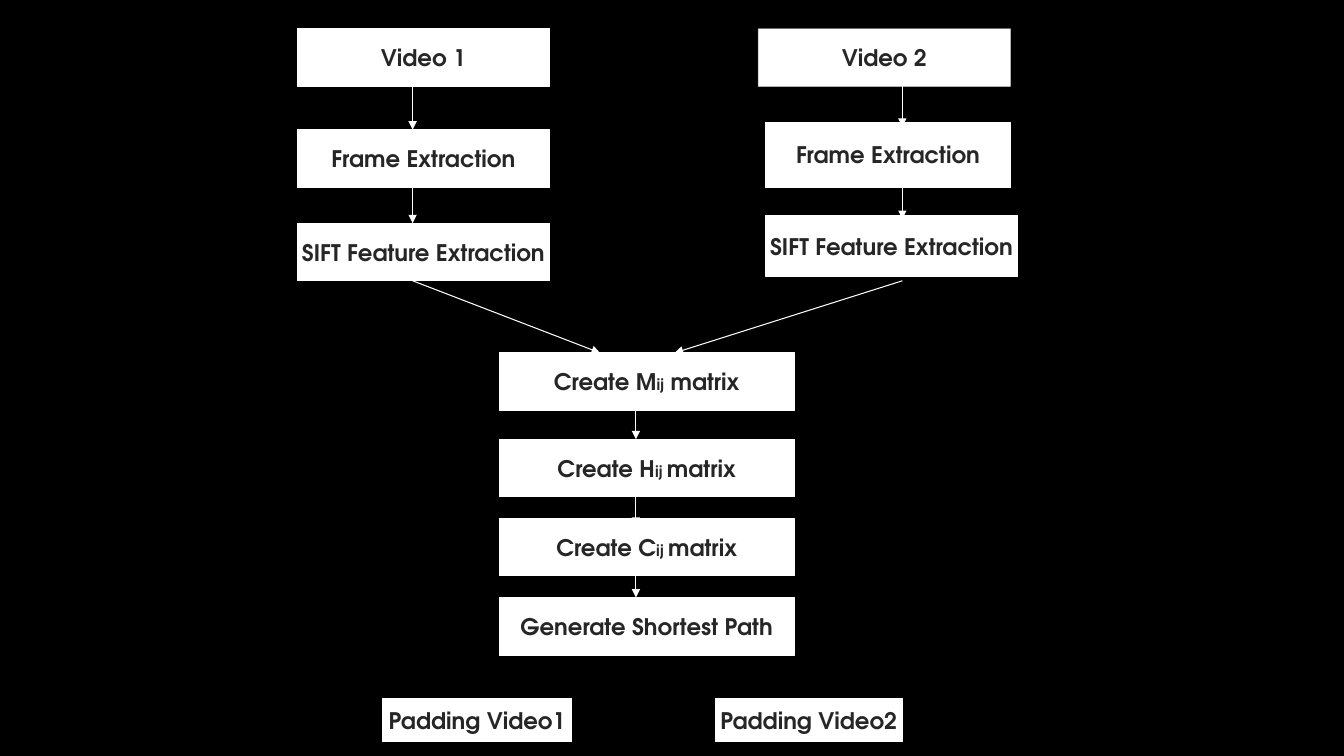
from lxml import etree
from pptx import Presentation
from pptx.dml.color import RGBColor
from pptx.enum.shapes import MSO_CONNECTOR, MSO_SHAPE
from pptx.enum.text import MSO_ANCHOR, PP_ALIGN
from pptx.oxml.ns import qn
from pptx.util import Inches, Pt

BLACK = RGBColor(0x00, 0x00, 0x00)
WHITE = RGBColor(0xFF, 0xFF, 0xFF)
INK = RGBColor(0x26, 0x26, 0x26)
RECT = MSO_SHAPE.RECTANGLE
STRAIGHT = MSO_CONNECTOR.STRAIGHT
CENTER = PP_ALIGN.CENTER
MIDDLE = MSO_ANCHOR.MIDDLE

CELL = 1 / 14  # inches per column and per row
LEFT = 2.95  # inches to column 0


class FlowChart:
    font = "TeX Gyre Adventor"
    size = Pt(16.3)
    sub_size = Pt(10.9)
    line_width = Pt(0.75)

    def __init__(self, slide):
        self.s = slide
        fill = slide.background.fill
        fill.solid()
        fill.fore_color.rgb = BLACK

    def x(self, col):
        return Inches(LEFT + col * CELL)

    def y(self, row):
        return Inches(row * CELL)

    def outline(self, line):
        line.color.rgb = WHITE
        line.width = self.line_width

    def box(self, col, row, cols, rows, text, sub="", rest="", opacity=None):
        """White box; sub is set smaller between text and rest."""
        sp = self.s.shapes.add_shape(RECT, self.x(col), self.y(row),
                                     Inches(cols * CELL), Inches(rows * CELL))
        sp.shadow.inherit = False
        sp.fill.solid()
        sp.fill.fore_color.rgb = WHITE
        self.outline(sp.line)
        if opacity is not None:
            color = sp.line._ln.find(".//" + qn("a:srgbClr"))
            etree.SubElement(color, qn("a:alpha"), val=str(opacity * 1000))

        tf = sp.text_frame
        tf.word_wrap = False
        tf.vertical_anchor = MIDDLE
        tf.margin_left = tf.margin_right = Inches(0.09)
        tf.margin_top = tf.margin_bottom = Inches(0.04)
        p = tf.paragraphs[0]
        p.alignment = CENTER
        p.font.name = self.font
        p.font.size = self.size
        p.font.bold = True
        p.font.color.rgb = INK
        for part in filter(None, (text, sub, rest)):
            r = p.add_run()
            r.text = part
            if part == sub:
                r.font.size = self.sub_size

    def arrow(self, col, row, end_col, end_row):
        cxn = self.s.shapes.add_connector(STRAIGHT, self.x(col), self.y(row),
                                          self.x(end_col), self.y(end_row))
        self.outline(cxn.line)
        etree.SubElement(cxn.line._ln, qn("a:tailEnd"), type="triangle")
        etree.SubElement(cxn._element.spPr, qn("a:effectLst"))


def main():
    prs = Presentation()
    prs.slide_width, prs.slide_height = Inches(13.33), Inches(7.5)
    chart = FlowChart(prs.slides.add_slide(prs.slide_layouts[6]))

    # Video 1 branch
    for row, text in ((4, "Video 1"), (18, "Frame Extraction"),
                      (31, "SIFT Feature Extraction")):
        chart.box(0, row, 35, 8, text)

    # Video 2 branch
    chart.box(64, 4, 35, 8, "Video 2", opacity=53)
    chart.box(65, 17, 34, 9, "Frame Extraction")
    chart.box(65, 30, 35, 8.4, "SIFT Feature Extraction")

    # Shared matrix steps
    for row, *text in ((49, "Create M", "ij", " matrix"),
                       (61, "Create H", "ij ", "matrix"),
                       (72, "Create C", "ij ", "matrix"),
                       (83, "Generate Shortest Path")):
        chart.box(28, row, 41, 8, *text)

    # Padded results
    chart.box(11.8, 97, 26.3, 6, "Padding Video1")
    chart.box(58, 97, 26, 6, "Padding Video2")

    # Vertical arrows: column, start row, end row
    for col, start, end in ((16, 12, 18), (16, 26, 31),
                            (84, 12, 17.6), (84, 26, 30.4),
                            (47, 57, 61), (47, 69, 73), (47, 80, 83)):
        chart.arrow(col, start, col, end)

    # Branches merge into the first matrix
    chart.arrow(16, 39, 42, 49)
    chart.arrow(84, 39, 52.4, 49)

    prs.save("out.pptx")


if __name__ == "__main__":
    main()
